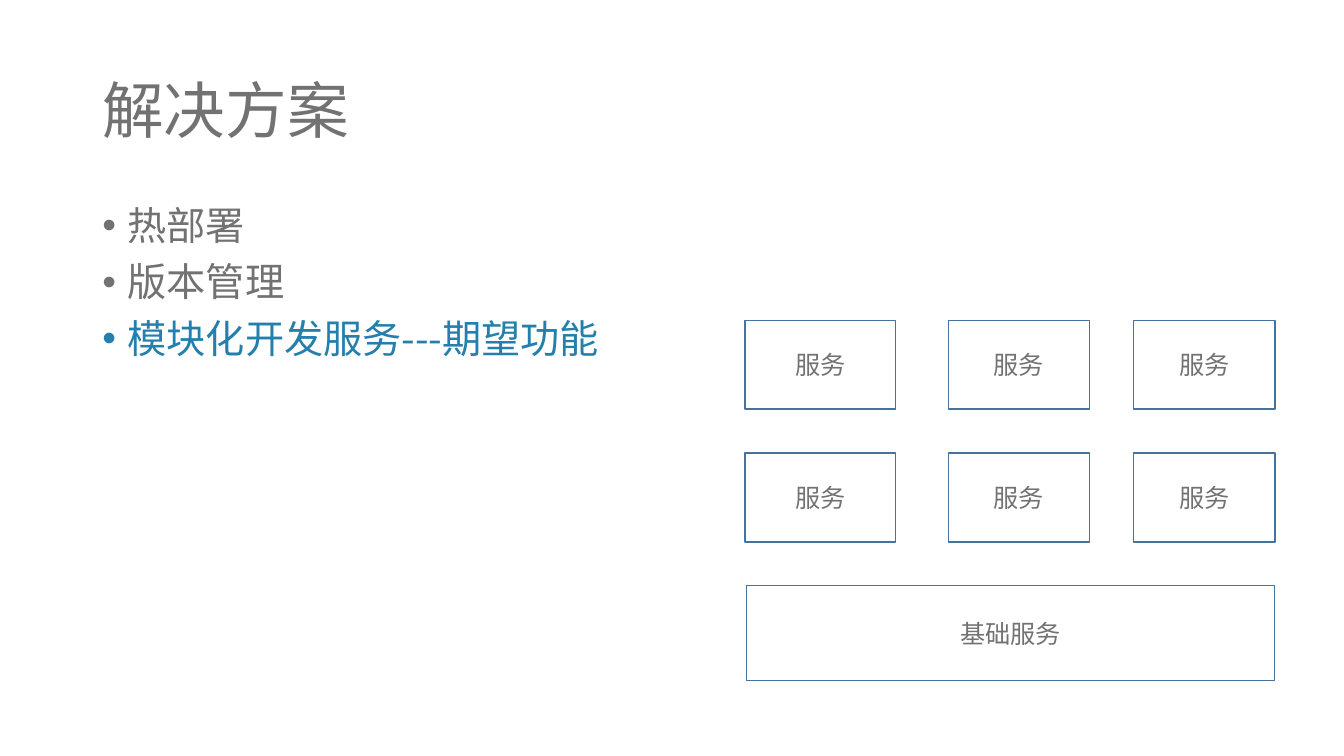
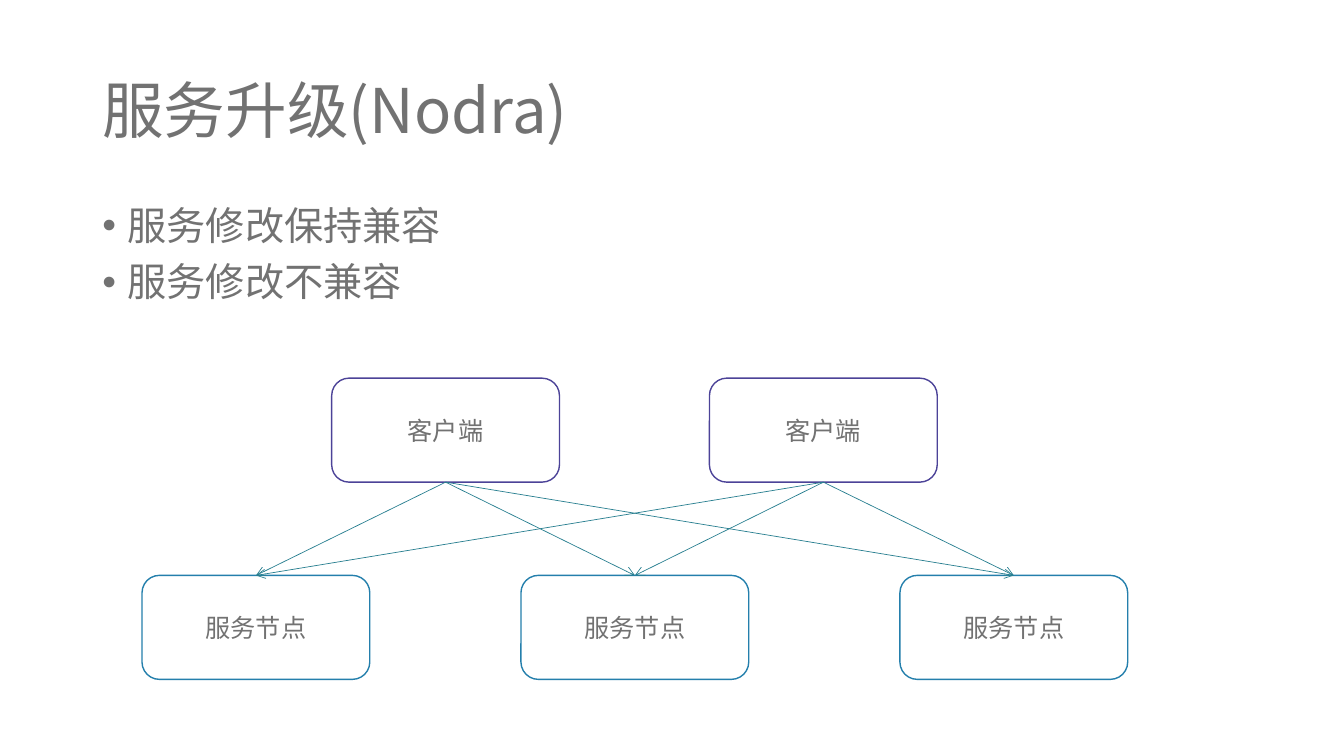
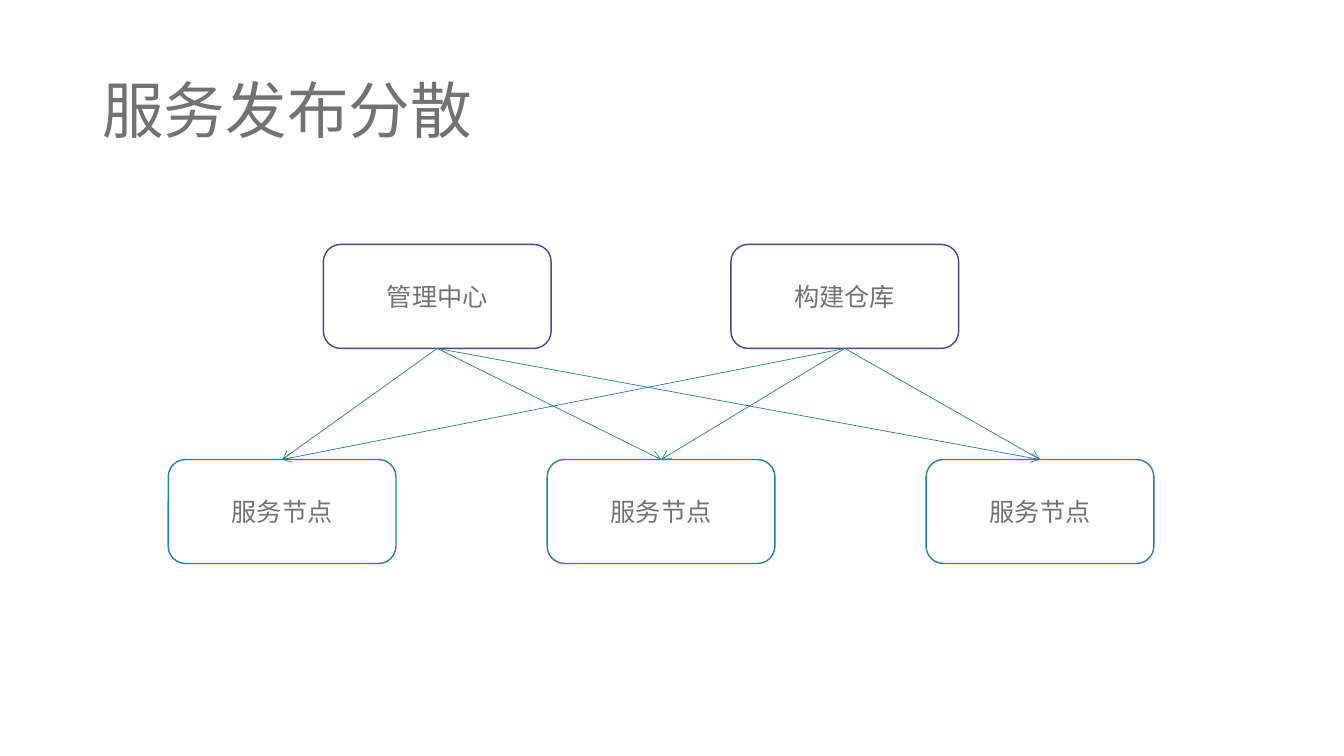
from dataclasses import dataclass
from itertools import product

from lxml import etree
from pptx import Presentation
from pptx import util as u
from pptx.dml.color import RGBColor
from pptx.enum import shapes, text
from pptx.oxml import ns


@dataclass(frozen=True)
class Theme:
    ink: str = "727272"
    accent: str = "247FAC"
    grid: str = "43739E"
    client: str = "4C4398"
    link: str = "287F90"
    title_size: int = 44
    body_size: int = 28
    box_size: int = 18
    cjk: str = "Noto Sans CJK SC"
    latin: str = "Calibri"
    bullet: str = "Arial"


T = Theme()
Cm = u.Cm
RECT = shapes.MSO_SHAPE.RECTANGLE
ROUND = shapes.MSO_SHAPE.ROUNDED_RECTANGLE


def add_text(tf, lines, size, font=T.cjk, colors=(), anchor=text.MSO_ANCHOR.MIDDLE,
             align=text.PP_ALIGN.LEFT, spacing=None, before=None, bullet=None):
    """Fill a text frame, one paragraph a line; colors may differ by line."""
    tf.word_wrap = True
    tf.vertical_anchor = anchor
    for i, line in enumerate(lines):
        p = tf.paragraphs[0] if i == 0 else tf.add_paragraph()
        p.alignment = align
        p.line_spacing = spacing
        p.space_before = before
        if bullet:
            pPr = p._p.get_or_add_pPr()
            pPr.set("marL", str(Cm(0.64)))
            pPr.set("indent", str(-Cm(0.64)))
            etree.SubElement(pPr, ns.qn("a:buFont")).set("typeface", T.bullet)
            etree.SubElement(pPr, ns.qn("a:buChar")).set("char", bullet)
        r = p.add_run()
        r.text = line
        r.font.size = u.Pt(size)
        r.font.name = font
        r.font.color.rgb = RGBColor.from_string(colors[i] if colors else T.ink)
        etree.SubElement(r._r.rPr, ns.qn("a:ea")).set("typeface", T.cjk)


def add_box(s, kind, label, color, left, top, width, height):
    """Draw an outlined box with a centred label."""
    sp = s.shapes.add_shape(kind, Cm(left), Cm(top), Cm(width), Cm(height))
    sp.shadow.inherit = False
    sp.fill.background()
    sp.line.color.rgb = RGBColor.from_string(color)
    sp.line.width = u.Pt(1)
    add_text(sp.text_frame, [label], T.box_size, font=T.latin, align=text.PP_ALIGN.CENTER)
    return sp


prs = Presentation()
prs.slide_width, prs.slide_height = Cm(33.87), Cm(19.05)

# Titles and bullet lists
pages = [
    ("解决方案", ["热部署", "版本管理", "模块化开发服务---期望功能"], [T.ink, T.ink, T.accent]),
    ("服务升级(Nodra)", ["服务修改保持兼容", "服务修改不兼容"], []),
    ("服务发布分散", [], []),
]
for title, bullets, colors in pages:
    s = prs.slides.add_slide(prs.slide_layouts[6])
    tb = s.shapes.add_textbox(Cm(2.33), Cm(1.02), Cm(29.21), Cm(3.68))
    add_text(tb.text_frame, [title], T.title_size, spacing=0.9)
    if bullets:
        tb = s.shapes.add_textbox(Cm(2.33), Cm(5.08), Cm(29.21), Cm(12.09))
        add_text(tb.text_frame, bullets, T.body_size, colors=colors, spacing=0.9,
                 anchor=text.MSO_ANCHOR.TOP, before=u.Pt(10), bullet="•")
modules, upgrade, publish = prs.slides

# Service modules on a shared base
columns = [(18.78, 3.79), (23.9, 3.56), (28.57, 3.56)]
for top, (left, width) in product((8.07, 11.42), columns):
    add_box(modules, RECT, "服务", T.grid, left, top, width, 2.24)
add_box(modules, RECT, "基础服务", T.grid, 18.82, 14.76, 13.3, 2.39)

# Networks: every client linked to every service node
box_w, box_h, node_step = 5.74, 2.62, 9.55
networks = [
    (upgrade, [("客户端", 8.36), ("客户端", 17.88)], 9.53, 3.58, 14.5),
    (publish, [("管理中心", 8.15), ("构建仓库", 18.42)], 6.16, 4.24, 11.58),
]
for s, clients, client_top, node_left, node_top in networks:
    nodes = [add_box(s, ROUND, "服务节点", T.accent, node_left + i * node_step, node_top,
                     box_w, box_h) for i in range(3)]
    tops = [add_box(s, ROUND, label, T.client, left, client_top, box_w, box_h)
            for label, left in clients]
    for client, node in product(tops, nodes):
        c = s.shapes.add_connector(shapes.MSO_CONNECTOR.STRAIGHT, 0, 0, 0, 0)
        c.begin_connect(client, 2)
        c.end_connect(node, 0)
        c.line.color.rgb = RGBColor.from_string(T.link)
        c.line.width = u.Pt(0.5)
        etree.SubElement(c.line._get_or_add_ln(), ns.qn("a:tailEnd")).set("type", "arrow")
        etree.SubElement(c._element.spPr, ns.qn("a:effectLst"))

prs.save("out.pptx")
